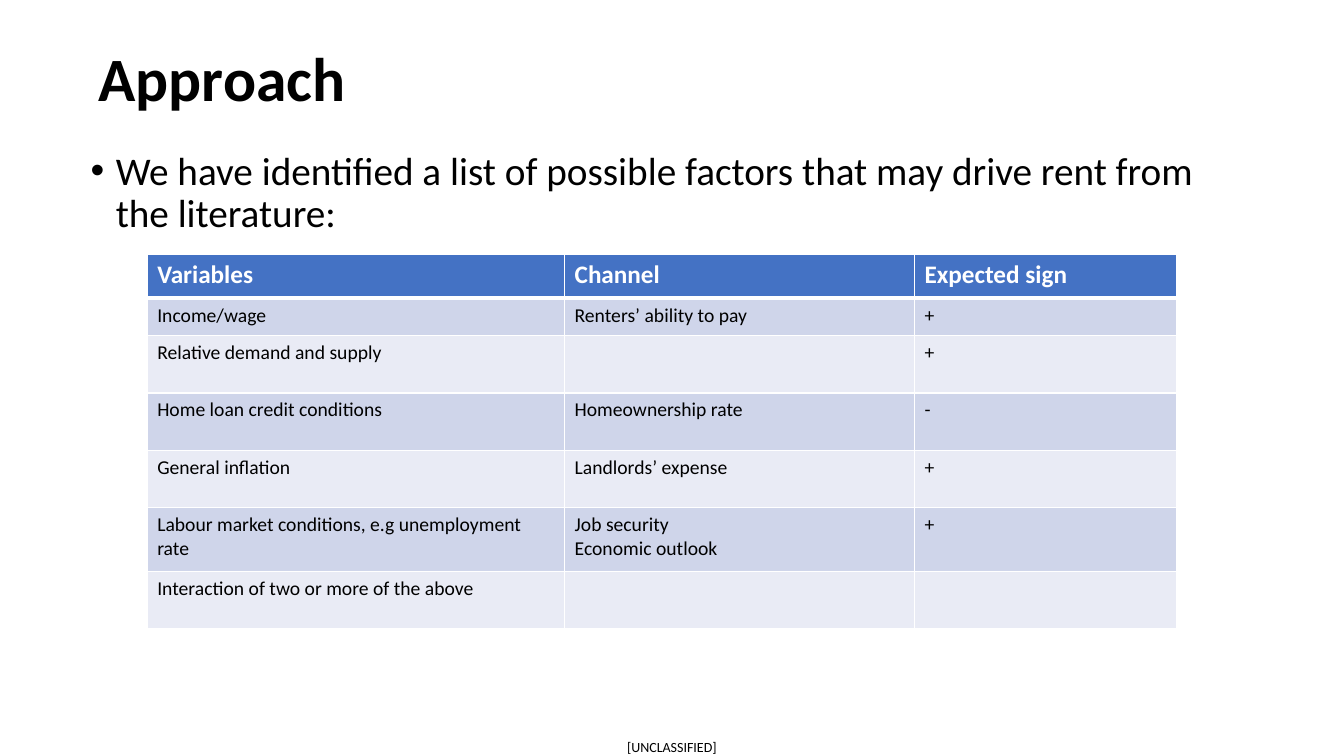
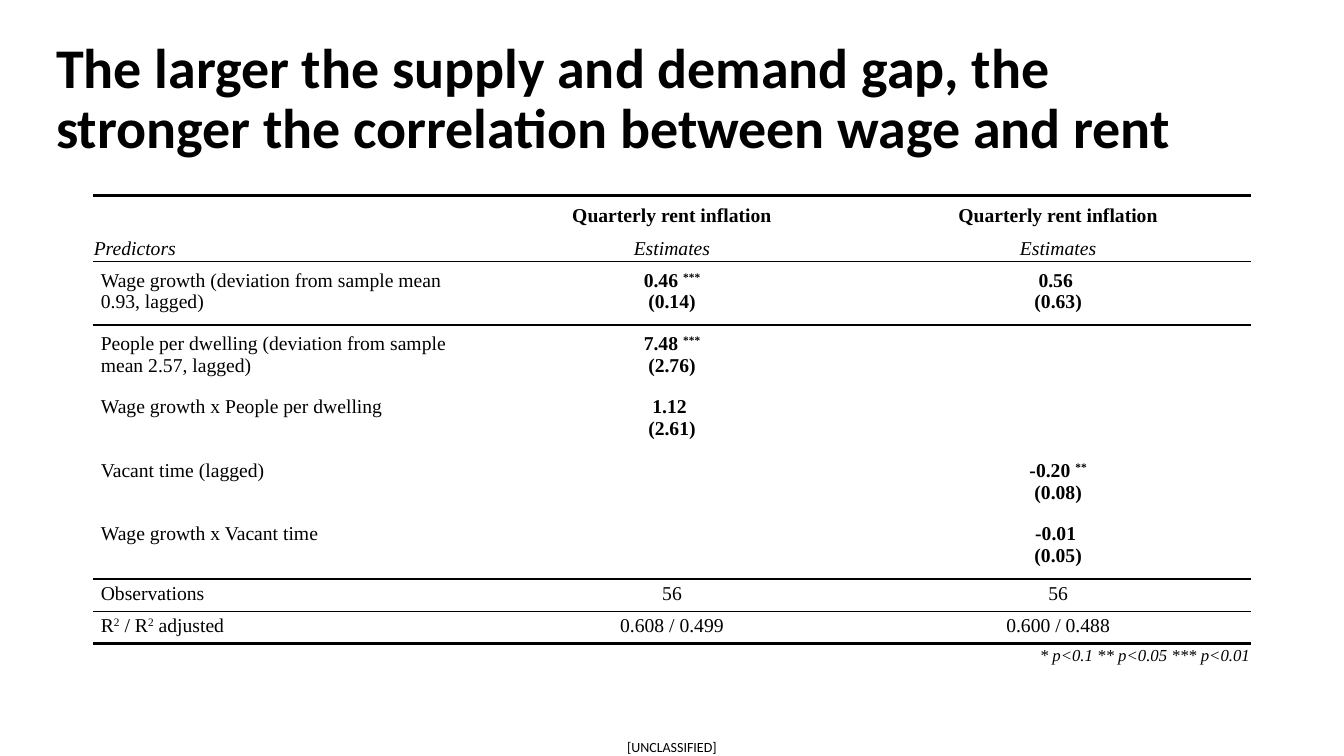
from lxml import etree
from pptx import Presentation
from pptx.dml.color import RGBColor
from pptx.enum.text import MSO_ANCHOR, PP_ALIGN
from pptx.oxml.ns import qn
from pptx.util import Emu, Pt

SCALE = 9144  # 100 px to the inch
TOP, MIDDLE = MSO_ANCHOR.TOP, MSO_ANCHOR.MIDDLE
LEFT, CENTER, RIGHT = PP_ALIGN.LEFT, PP_ALIGN.CENTER, PP_ALIGN.RIGHT

SANS, SERIF = "Calibri", "Times New Roman"
BLACK, WHITE, BLUE = "000000", "FFFFFF", "4472C4"
BANDS = ["CFD5EA", "E9EBF5"]
PLAIN = "{2D5ABB26-0587-4C30-8999-92F81FD0307C}"  # no style, no grid
PAD = (10, 5, 10, 5)

FACTORS = [
    (44, ["Variables", "Channel", "Expected sign"]),
    (37, ["Income/wage", "Renters’ ability to pay", "+"]),
    (57, ["Relative demand and supply", "", "+"]),
    (57, ["Home loan credit conditions", "Homeownership rate", "-"]),
    (57, ["General inflation", "Landlords’ expense", "+"]),
    (63, ["Labour market conditions, e.g unemployment rate",
          "Job security\nEconomic outlook", "+"]),
    (57, ["Interaction of two or more of the above", "", ""]),
]

# Row looks: height, padding, anchor, bold values, italic
HEAD = (40, (8, 8, 8, 8), MIDDLE, True, False)
SUB = (25, (1, 1, 1, 1), MIDDLE, False, True)
TERM = (63, (8, 8, 8, 8), TOP, True, False)
FIT = (32, (8, 4, 8, 4), TOP, False, False)

# ^ switches superscript on and off, \v breaks the line
MODELS = [
    (HEAD, ["", "Quarterly rent inflation", "Quarterly rent inflation"]),
    (SUB, ["Predictors", "Estimates", "Estimates"]),
    (TERM, ["Wage growth (deviation from sample mean 0.93, lagged)",
            "0.46 ^***^\v(0.14)", "0.56 \v(0.63)"]),
    (TERM, ["People per dwelling (deviation from sample mean 2.57, lagged)",
            "7.48 ^***^\v(2.76)", ""]),
    (TERM, ["Wage growth x People per dwelling", "1.12 \v(2.61)", ""]),
    (TERM, ["Vacant time (lagged)", "", "-0.20 ^**^\v(0.08)"]),
    (TERM, ["Wage growth x Vacant time", "", "-0.01 \v(0.05)"]),
    (FIT, ["Observations", "56", "56"]),
    (FIT, ["R^2^ / R^2^ adjusted", "0.608 / 0.499", "0.600 / 0.488"]),
    (SUB, ["* p<0.1 ** p<0.05 *** p<0.01", "", ""]),
]
RULES = {0: 2.25, 2: 1, 7: 1, 9: 2.25}  # line above each row, in points


def px(n):
    return Emu(n * SCALE)


def tint(code):
    return RGBColor.from_string(code)


def style(para, size, font=SANS, color=BLACK, bold=False, italic=False):
    for run in para.runs:
        face = run.font
        face.size, face.name = Pt(size), font
        face.bold, face.italic = bold, italic
        face.color.rgb = tint(color)
    for gap in para._p.findall(qn("a:br")):
        etree.SubElement(gap, qn("a:rPr"), sz=str(size * 100))


def fill_para(para, text):
    """Write text with ^superscript^ and line break marks."""
    if "^" not in text:
        para.text = text
        return
    for i, part in enumerate(text.split("^")):
        for j, line in enumerate(part.split("\v")):
            if j:
                para.add_line_break()
            if line:
                run = para.add_run()
                run.text = line
                if i % 2:
                    run._r.get_or_add_rPr().set("baseline", "30000")


def add_text(slide, box, text, size, anchor=TOP, bold=False, pad=PAD, wrap=True):
    shape = slide.shapes.add_textbox(*map(px, box))
    frame = shape.text_frame
    frame.word_wrap, frame.vertical_anchor = wrap, anchor
    (frame.margin_left, frame.margin_top,
     frame.margin_right, frame.margin_bottom) = map(px, pad)
    frame.text = text
    para = frame.paragraphs[0]
    style(para, size, bold=bold)
    return para


def add_title(slide, left, top, text, size):
    para = add_text(slide, (left, top, 1150, 145), text, size, MIDDLE, True)
    para.line_spacing = 0.9


def add_bullet(slide, box, text, size):
    para = add_text(slide, box, text, size)
    para.line_spacing = 0.9
    props = para._p.get_or_add_pPr()
    props.set("marL", str(px(25)))
    props.set("indent", str(px(-25)))
    etree.SubElement(props, qn("a:buFont"), typeface="Arial")
    etree.SubElement(props, qn("a:buChar"), char="•")


def add_grid(slide, left, top, widths, heights):
    frame = slide.shapes.add_table(len(heights), len(widths), px(left), px(top),
                                   px(sum(widths)), px(sum(heights)))
    table = frame.table
    table.first_row = table.horz_banding = False
    table._tbl.tblPr.find(qn("a:tableStyleId")).text = PLAIN
    for col, width in zip(table.columns, widths):
        col.width = px(width)
    for row, height in zip(table.rows, heights):
        row.height = px(height)
    return table


def add_edges(cell, color, **edges):
    """Draw the L, R, T and B edges whose width in points is given."""
    props = cell._tc.get_or_add_tcPr()
    for side in "LRTB":
        if edges.get(side):
            line = etree.SubElement(props, qn("a:ln" + side),
                                    w=str(Pt(edges[side])))
            fill = etree.SubElement(line, qn("a:solidFill"))
            etree.SubElement(fill, qn("a:srgbClr"), val=color)


def set_cell(cell, text, size, align=LEFT, anchor=TOP, pad=PAD, **look):
    cell.vertical_anchor = anchor
    (cell.margin_left, cell.margin_top,
     cell.margin_right, cell.margin_bottom) = map(px, pad)
    frame = cell.text_frame
    for i, line in enumerate(text.split("\n")):
        para = frame.add_paragraph() if i else frame.paragraphs[0]
        fill_para(para, line)
        para.alignment = align
        style(para, size, **look)


def add_factors(slide):
    table = add_grid(slide, 146, 252, [414, 347, 260], [h for h, _ in FACTORS])
    for r, (_, texts) in enumerate(FACTORS):
        head = r == 0
        for c, text in enumerate(texts):
            cell = table.cell(r, c)
            add_edges(cell, WHITE, L=1, R=1, T=3 if r == 1 else 1,
                      B=3 if head else 1)
            cell.fill.solid()
            cell.fill.fore_color.rgb = tint(BLUE if head else BANDS[(r - 1) % 2])
            if text:
                set_cell(cell, text, 18 if head else 14, bold=head,
                         color=WHITE if head else BLACK)


def add_models(slide):
    table = add_grid(slide, 92, 194, [383] * 3, [look[0] for look, _ in MODELS])
    last = len(MODELS) - 1
    table.cell(last, 0).merge(table.cell(last, 2))
    for r, ((_, pad, anchor, bold, italic), texts) in enumerate(MODELS):
        note = r == last
        for c, text in enumerate(texts):
            cell = table.cell(r, c)
            add_edges(cell, BLACK, T=RULES.get(r), B=RULES.get(r + 1))
            cell.fill.background()
            if text:
                align = RIGHT if note else CENTER if c else LEFT
                set_cell(cell, text, 12 if note else 14, align, anchor, pad,
                         font=SERIF, bold=bold and c > 0, italic=italic)


def add_slide(deck):
    slide = deck.slides.add_slide(deck.slide_layouts[6])
    add_text(slide, (622, 733, 93, 17), "[UNCLASSIFIED]", 10,
             pad=(0, 0, 0, 0), wrap=False)
    return slide


def main():
    deck = Presentation()
    deck.slide_width, deck.slide_height = px(1333), px(750)

    slide = add_slide(deck)
    add_bullet(slide, (80, 145, 1153, 518),
               "We have identified a list of possible factors that may drive "
               "rent from the literature:", 28)
    add_title(slide, 88, 8, "Approach", 44)
    add_factors(slide)

    slide = add_slide(deck)
    add_title(slide, 46, 27, "The larger the supply and demand gap, the stronger "
              "the correlation between wage and rent", 40)
    add_models(slide)

    deck.save("out.pptx")


if __name__ == "__main__":
    main()
